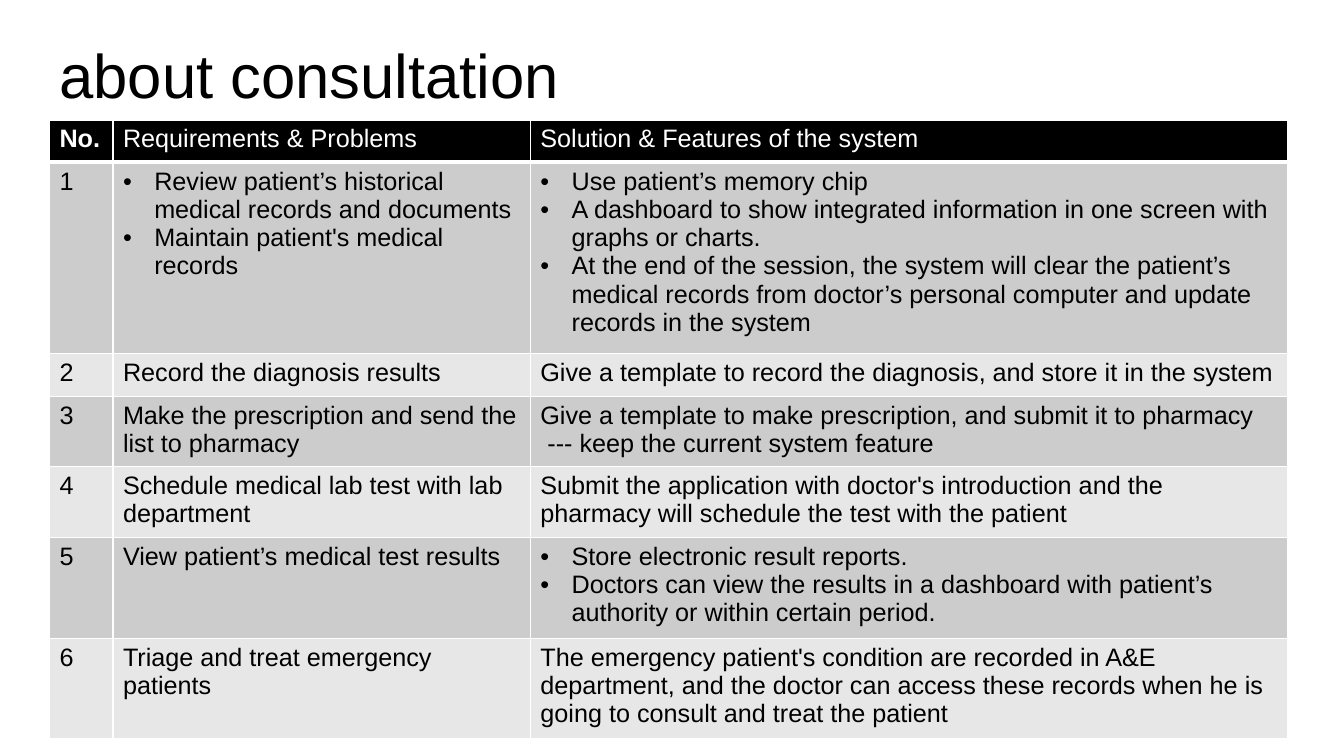
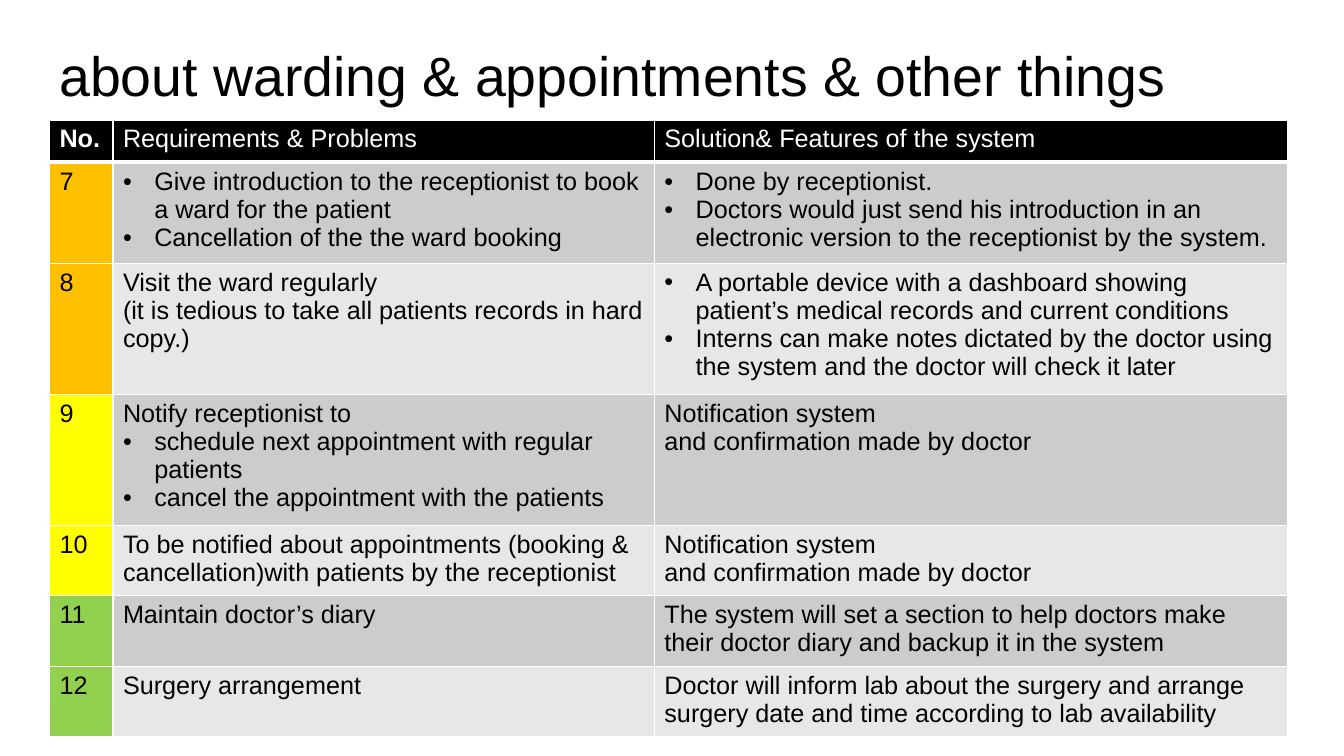
from lxml.etree import SubElement
from pptx import Presentation
from pptx.dml.color import RGBColor
from pptx.enum.text import MSO_ANCHOR
from pptx.oxml.ns import qn
from pptx.util import Pt

EMU_PER_PX = 9144
FONT = "Arial"
BODY_SIZE = 18
BULLET = "• "
BULLET_INDENT = 31
HEADER_HEIGHT = ROW_HEIGHT = 42
THIN, THICK = 1, 3
SLIDE_BOX = (0, 0, 1333, 750)
COLORS = {
    "black": "000000",
    "white": "FFFFFF",
    "odd": "CCCCCC",
    "even": "E7E7E7",
    "orange": "FFC000",
    "yellow": "FFFF00",
    "green": "92D050",
}

CONSULTATION = {
    "title": "about consultation",
    "title_size": 44,
    "columns": (63, 414, 751),
    "heights": {4: 70},
    "number_fills": {},
    "rows": [
        ("No.", "Requirements & Problems", "Solution & Features of the system"),
        (
            "1",
            "• Review patient’s historical medical records and documents\n"
            "• Maintain patient's medical records",
            "• Use patient’s memory chip\n"
            "• A dashboard to show integrated information in one screen with graphs or charts.\n"
            "• At the end of the session, the system will clear the patient’s medical records "
            "from doctor’s personal computer and update records in the system",
        ),
        (
            "2",
            "Record the diagnosis results",
            "Give a template to record the diagnosis, and store it in the system",
        ),
        (
            "3",
            "Make the prescription and send the list to pharmacy",
            "Give a template to make prescription, and submit it to pharmacy\n"
            " --- keep the current system feature",
        ),
        (
            "4",
            "Schedule medical lab test with lab department",
            "Submit the application with doctor's introduction and the pharmacy "
            "will schedule the test with the patient",
        ),
        (
            "5",
            "View patient’s medical test results",
            "• Store electronic result reports.\n"
            "• Doctors can view the results in a dashboard with patient’s authority "
            "or within certain period.",
        ),
        (
            "6",
            "Triage and treat emergency patients",
            "The emergency patient's condition are recorded in A&E department, and the doctor "
            "can access these records when he is going to consult and treat the patient",
        ),
    ],
}

CONFIRMATION = "Notification system\nand confirmation made by doctor"

WARDING = {
    "title": "about warding & appointments & other things",
    "title_size": 39.6,
    "columns": (63, 537, 628),
    "heights": {},
    "number_fills": {
        1: "orange", 2: "orange", 3: "yellow", 4: "yellow", 5: "green", 6: "green",
    },
    "rows": [
        ("No.", "Requirements & Problems", "Solution& Features of the system"),
        (
            "7",
            "• Give introduction to the receptionist to book a ward for the patient\n"
            "• Cancellation of the the ward booking",
            "• Done by receptionist.\n"
            "• Doctors would just send his introduction in an electronic version "
            "to the receptionist by the system.",
        ),
        (
            "8",
            "Visit the ward regularly\n"
            "(it is tedious to take all patients records in hard copy.)",
            "• A portable device with a dashboard showing patient’s medical records "
            "and current conditions\n"
            "• Interns can make notes dictated by the doctor using the system "
            "and the doctor will check it later",
        ),
        (
            "9",
            "Notify receptionist to\n"
            "• schedule next appointment with regular patients\n"
            "• cancel the appointment with the patients",
            CONFIRMATION,
        ),
        (
            "10",
            "To be notified about appointments (booking & cancellation)with patients "
            "by the receptionist",
            CONFIRMATION,
        ),
        (
            "11",
            "Maintain doctor’s diary",
            "The system will set a section to help doctors make their doctor diary "
            "and backup it in the system",
        ),
        (
            "12",
            "Surgery arrangement",
            "Doctor will inform lab about the surgery and arrange surgery date and time "
            "according to lab availability",
        ),
    ],
}


def px(length):
    return length * EMU_PER_PX


def color(name):
    return RGBColor.from_string(COLORS[name])


def style_runs(paragraph, size, color_name, bold=False):
    for run in paragraph.runs:
        run.font.name = FONT
        run.font.size = Pt(size)
        run.font.bold = bold
        run.font.color.rgb = color(color_name)


def set_bullet(paragraph):
    properties = paragraph._p.get_or_add_pPr()
    properties.set("marL", str(px(BULLET_INDENT)))
    properties.set("indent", str(-px(BULLET_INDENT)))
    SubElement(properties, qn("a:buFont")).set("typeface", FONT)
    SubElement(properties, qn("a:buChar")).set("char", BULLET.strip())


def set_borders(cell, top, bottom):
    properties = cell._tc.get_or_add_tcPr()
    for side, width in (("L", THIN), ("R", THIN), ("T", top), ("B", bottom)):
        line = SubElement(properties, qn(f"a:ln{side}"))
        line.set("w", str(Pt(width)))
        fill = SubElement(line, qn("a:solidFill"))
        SubElement(fill, qn("a:srgbClr")).set("val", COLORS["white"])


def add_title(slide, box, text, size):
    shape = slide.shapes.add_textbox(*map(px, box))
    text_frame = shape.text_frame
    text_frame.word_wrap = True
    text_frame.vertical_anchor = MSO_ANCHOR.MIDDLE
    text_frame.text = text
    paragraph = text_frame.paragraphs[0]
    paragraph.line_spacing = 0.9
    style_runs(paragraph, size, "black")


def fill_cell(cell, text, fill_name, text_color, bold):
    cell.fill.solid()
    cell.fill.fore_color.rgb = color(fill_name)
    lines = text.split("\n")
    cell.text_frame.text = "\n".join(line.removeprefix(BULLET) for line in lines)
    for line, paragraph in zip(lines, cell.text_frame.paragraphs):
        if line.startswith(BULLET):
            set_bullet(paragraph)
        style_runs(paragraph, BODY_SIZE, text_color, bold)


def add_requirements_table(slide, left, top, content):
    rows, columns = content["rows"], content["columns"]
    heights = [content["heights"].get(index, ROW_HEIGHT) for index in range(len(rows))]
    box = (left, top, sum(columns), sum(heights))
    table = slide.shapes.add_table(len(rows), len(columns), *map(px, box)).table
    table.first_row = table.horz_banding = False
    for column, width in zip(table.columns, columns):
        column.width = px(width)
    for row_index, texts in enumerate(rows):
        table.rows[row_index].height = px(heights[row_index])
        is_header = row_index == 0
        row_fill = "black" if is_header else "odd" if row_index % 2 else "even"
        for column_index, text in enumerate(texts):
            is_number = column_index == 0
            cell = table.cell(row_index, column_index)
            set_borders(cell, THICK if row_index == 1 else THIN, THICK if is_header else THIN)
            fill_name = content["number_fills"].get(row_index, row_fill) if is_number else row_fill
            text_color = "white" if is_header else "black"
            fill_cell(cell, text, fill_name, text_color, is_header and is_number)


def add_requirements_slide(presentation, box, content):
    left, top, _, _ = box
    slide = presentation.slides.add_slide(presentation.slide_layouts[6])
    title_box = (left + 49, top + 5, 1150, 145)
    add_title(slide, title_box, content["title"], content["title_size"])
    add_requirements_table(slide, left + 49, top + 119, content)


def main():
    presentation = Presentation()
    presentation.slide_width, presentation.slide_height = map(px, SLIDE_BOX[2:])
    for content in (CONSULTATION, WARDING):
        add_requirements_slide(presentation, SLIDE_BOX, content)
    presentation.save("out.pptx")


if __name__ == "__main__":
    main()
